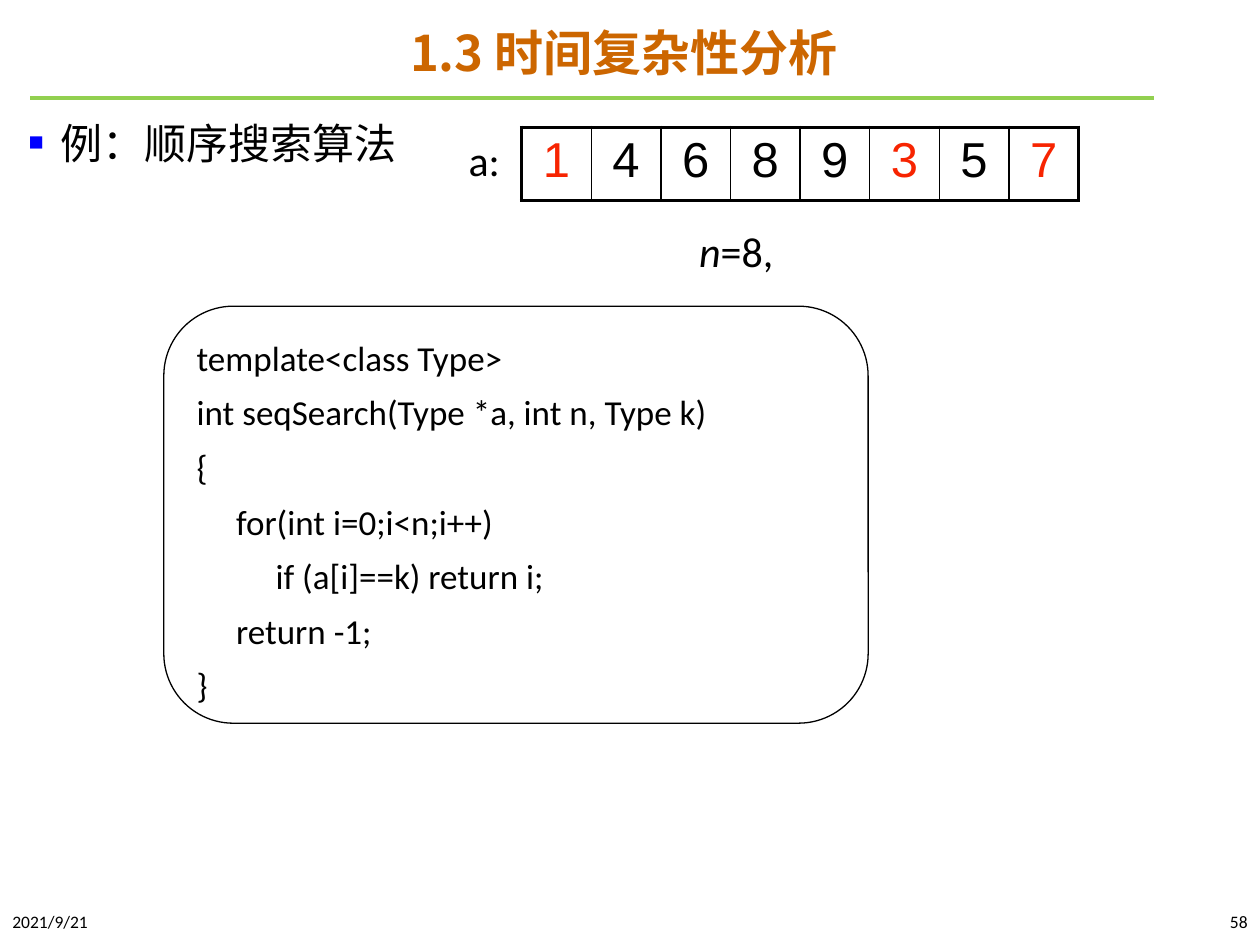
from dataclasses import dataclass, field

import pptx
import pptx.dml.color
import pptx.enum.lang
import pptx.enum.shapes
import pptx.enum.text
import pptx.oxml
import pptx.oxml.ns
import pptx.util
from pptx.util import Inches

COLORS = {
    "text": "000000",
    "paper": "FFFFFF",
    "title": "CC6600",
    "rule": "92D050",
    "bullet": "0000FF",
    "marked": "F72401",
}
ALIGN = pptx.enum.text.PP_ALIGN
ANCHOR = pptx.enum.text.MSO_ANCHOR
AUTO_SIZE = pptx.enum.text.MSO_AUTO_SIZE
CHINESE = pptx.enum.lang.MSO_LANGUAGE_ID.SIMPLIFIED_CHINESE

VALUES = [1, 4, 6, 8, 9, 3, 5, 7]
MARKED_VALUES = {1, 3, 7}
CELL_WIDTH = 4.42 / len(VALUES)
CELL_HEIGHT = 0.58
OUTER_BORDER, INNER_BORDER = 2.25, 1

CODE = """template<class Type>
int seqSearch(Type *a, int n, Type k)
{
     for(int i=0;i<n;i++)
          if (a[i]==k) return i;
     return -1;
}"""


@dataclass
class Label:
    left: float
    top: float
    width: float
    height: float
    runs: list[tuple[str, dict]]
    size: float
    frame: dict = field(default_factory=dict)
    paragraph: dict = field(default_factory=dict)


def rgb(name: str) -> pptx.dml.color.RGBColor:
    return pptx.dml.color.RGBColor.from_string(COLORS[name])


def apply(target, values: dict) -> None:
    for name, value in values.items():
        setattr(target, name, value)


def write_run(paragraph, text: str, size: float, color: str = "text", **font) -> None:
    run = paragraph.add_run()
    run.text = text
    run.font.color.rgb = rgb(color)
    apply(run.font, {"name": "Calibri", "size": pptx.util.Pt(size), **font})


def draw_label(slide, label: Label):
    box = slide.shapes.add_textbox(
        *map(Inches, (label.left, label.top, label.width, label.height)))
    apply(box.text_frame, {"word_wrap": True, **label.frame})
    paragraph = box.text_frame.paragraphs[0]
    apply(paragraph, label.paragraph)
    for text, font in label.runs:
        write_run(paragraph, text, label.size, **font)
    return paragraph


def add_bullet(paragraph) -> None:
    properties = paragraph._p.get_or_add_pPr()
    properties.set("marL", str(Inches(0.25)))
    properties.set("indent", str(-Inches(0.25)))
    ns = pptx.oxml.ns.nsdecls("a")
    for xml in (
        f'<a:buClr {ns}><a:srgbClr val="{COLORS["bullet"]}"/></a:buClr>',
        f'<a:buSzPct {ns} val="60000"/>',
        f'<a:buFont {ns} typeface="Arial"/>',
        f'<a:buChar {ns} char="■"/>',
    ):
        properties.append(pptx.oxml.parse_xml(xml))


def draw_rule(slide) -> None:
    rule = slide.shapes.add_connector(
        pptx.enum.shapes.MSO_CONNECTOR.STRAIGHT,
        *map(Inches, (0.24, 0.78, 9.16, 0.78)))
    rule.line.color.rgb = rgb("rule")
    rule.line.width = pptx.util.Pt(2.25)
    rule._element.spPr.append(
        pptx.oxml.parse_xml(f'<a:effectLst {pptx.oxml.ns.nsdecls("a")}/>'))


def write_title(slide) -> None:
    title = slide.shapes.title
    apply(title, {"left": Inches(0.64), "top": Inches(0.1),
                  "width": Inches(8.62), "height": Inches(0.68)})
    apply(title.text_frame, {"vertical_anchor": ANCHOR.MIDDLE, "word_wrap": True,
                             "auto_size": AUTO_SIZE.NONE})
    heading = title.text_frame.paragraphs[0]
    apply(heading, {"alignment": ALIGN.CENTER, "line_spacing": 0.9})
    write_run(heading, "1.3 时间复杂性分析", 28, "title",
              name="Noto Sans CJK SC", bold=True, language_id=CHINESE)


def draw_code(slide) -> None:
    panel = slide.shapes.add_shape(
        pptx.enum.shapes.MSO_SHAPE.ROUNDED_RECTANGLE,
        *map(Inches, (1.3, 2.43, 5.59, 3.31)))
    panel.shadow.inherit = False
    panel.fill.solid()
    panel.fill.fore_color.rgb = rgb("paper")
    panel.line.color.rgb = rgb("text")
    panel.line.width = pptx.util.Pt(0.75)
    frame = panel.text_frame
    apply(frame, {"vertical_anchor": ANCHOR.MIDDLE, "word_wrap": False})
    for index, code_line in enumerate(CODE.splitlines()):
        paragraph = frame.add_paragraph() if index else frame.paragraphs[0]
        apply(paragraph, {"alignment": ALIGN.LEFT, "line_spacing": 1.3})
        write_run(paragraph, code_line, 20)


def set_borders(cell, widths: dict[str, float]) -> None:
    properties = cell._tc.get_or_add_tcPr()
    for side, width in widths.items():
        properties.append(pptx.oxml.parse_xml(
            f'<a:ln{side} {pptx.oxml.ns.nsdecls("a")} w="{pptx.util.Pt(width)}">'
            f'<a:solidFill><a:srgbClr val="{COLORS["text"]}"/></a:solidFill></a:ln{side}>'))


def draw_array(slide) -> None:
    array = slide.shapes.add_table(
        1, len(VALUES), Inches(4.14), Inches(1.01),
        Inches(CELL_WIDTH * len(VALUES)), Inches(CELL_HEIGHT)).table
    apply(array, {"first_row": False, "horz_banding": False})
    array.rows[0].height = Inches(CELL_HEIGHT)
    last = len(VALUES) - 1
    for index, value in enumerate(VALUES):
        array.columns[index].width = Inches(CELL_WIDTH)
        cell = array.cell(0, index)
        set_borders(cell, {
            "L": OUTER_BORDER if index == 0 else INNER_BORDER,
            "R": OUTER_BORDER if index == last else INNER_BORDER,
            "T": OUTER_BORDER,
            "B": OUTER_BORDER,
        })
        cell.fill.solid()
        cell.fill.fore_color.rgb = rgb("paper")
        paragraph = cell.text_frame.paragraphs[0]
        paragraph.alignment = ALIGN.CENTER
        write_run(paragraph, str(value), 28,
                  "marked" if value in MARKED_VALUES else "text", name="Arial")


def main() -> None:
    deck = pptx.Presentation()
    apply(deck, {"slide_width": Inches(10), "slide_height": Inches(7.5)})
    slide = deck.slides.add_slide(deck.slide_layouts[5])

    draw_rule(slide)
    write_title(slide)
    example = draw_label(slide, Label(
        0.13, 0.84, 9.73, 6.31, [("例：顺序搜索算法", {"language_id": CHINESE})], 24,
        paragraph={"line_spacing": 1.1}))
    add_bullet(example)

    footer = {"vertical_anchor": ANCHOR.MIDDLE}
    fitted = {"word_wrap": False, "auto_size": AUTO_SIZE.SHAPE_TO_FIT_TEXT}
    draw_label(slide, Label(0, 7.14, 2.25, 0.34, [("2021/9/21", {})], 10, footer))
    draw_label(slide, Label(7.75, 7.14, 2.25, 0.34, [("58", {})], 10, footer,
                            {"alignment": ALIGN.RIGHT}))
    draw_code(slide)
    draw_array(slide)
    draw_label(slide, Label(3.62, 1.02, 0.45, 0.5, [("a:", {})], 24, fitted))
    draw_label(slide, Label(5.45, 1.74, 0.8, 0.5,
                            [("n", {"italic": True}), ("=8,", {})], 24, fitted))
    deck.save("out.pptx")


if __name__ == "__main__":
    main()
